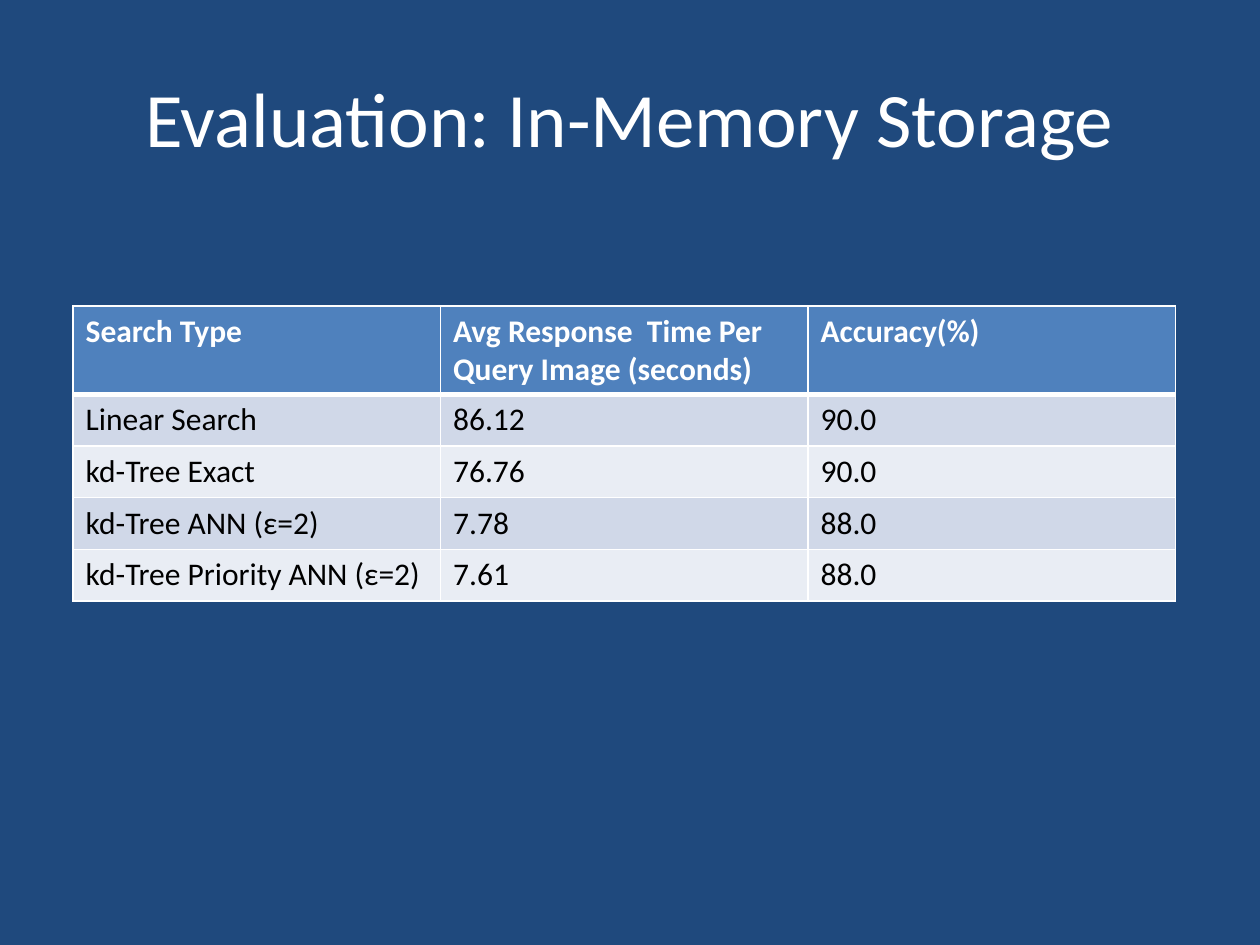
from lxml.etree import SubElement as Sub
from pptx import Presentation
from pptx.dml.color import RGBColor as RGB
from pptx.enum.text import MSO_ANCHOR as Anchor, PP_ALIGN as Align
from pptx.oxml.ns import qn
from pptx.util import Inches, Pt

NAVY = RGB(0x1F, 0x49, 0x7D)
BLUE = RGB(0x4F, 0x81, 0xBD)
BANDS = RGB(0xD0, 0xD8, 0xE8), RGB(0xE9, 0xED, 0xF4)
WHITE = RGB(0xFF, 0xFF, 0xFF)
BLACK = RGB(0, 0, 0)
FONT = "Calibri"

ROWS = [
    ("Search Type", "Avg Response  Time Per Query Image (seconds)", "Accuracy(%)"),
    ("Linear Search", "86.12", "90.0"),
    ("kd-Tree Exact", "76.76", "90.0"),
    ("kd-Tree ANN (ε=2)", "7.78", "88.0"),
    ("kd-Tree Priority ANN (ε=2)", "7.61", "88.0"),
]
HEAD_H, ROW_H = 0.7, 0.41


def set_text(frame, text, size, color, bold=False):
    frame.text = text
    font = frame.paragraphs[0].runs[0].font
    font.name, font.size, font.bold = FONT, Pt(size), bold
    font.color.rgb = color


def add_title(slide, left, top, width, height, text):
    box = slide.shapes.add_textbox(
        Inches(left), Inches(top), Inches(width), Inches(height))
    frame = box.text_frame
    frame.word_wrap = True
    frame.vertical_anchor = Anchor.MIDDLE
    set_text(frame, text, 44, WHITE)
    frame.paragraphs[0].alignment = Align.CENTER


def set_border(cell, **widths):
    """Draw white borders; keys are L, R, T and B, values are points."""
    props = cell._tc.get_or_add_tcPr()
    for side, width in widths.items():
        line = Sub(props, qn(f"a:ln{side}"), w=str(Pt(width)))
        fill = Sub(line, qn("a:solidFill"))
        Sub(fill, qn("a:srgbClr"), val=str(WHITE))


def add_results(slide, left, top, width, rows):
    height = HEAD_H + ROW_H * (len(rows) - 1)
    table = slide.shapes.add_table(
        len(rows), len(rows[0]),
        Inches(left), Inches(top), Inches(width), Inches(height)).table
    for r, row in enumerate(rows):
        head = r == 0
        table.rows[r].height = Inches(HEAD_H if head else ROW_H)
        for c, text in enumerate(row):
            cell = table.cell(r, c)
            set_text(cell.text_frame, text, 18, WHITE if head else BLACK, head)
            set_border(cell, L=1, R=1, T=3 if r == 1 else 1, B=3 if head else 1)
            cell.fill.solid()
            cell.fill.fore_color.rgb = BLUE if head else BANDS[(r - 1) % 2]


def main():
    deck = Presentation()
    deck.slide_width, deck.slide_height = Inches(10), Inches(7.5)
    slide = deck.slides.add_slide(deck.slide_layouts[6])
    slide.background.fill.solid()
    slide.background.fill.fore_color.rgb = NAVY
    add_title(slide, 0.5, 0.3, 9, 1.25, "Evaluation: In-Memory Storage")
    add_results(slide, 0.58, 2.43, 8.75, ROWS)
    deck.save("out.pptx")


if __name__ == "__main__":
    main()
